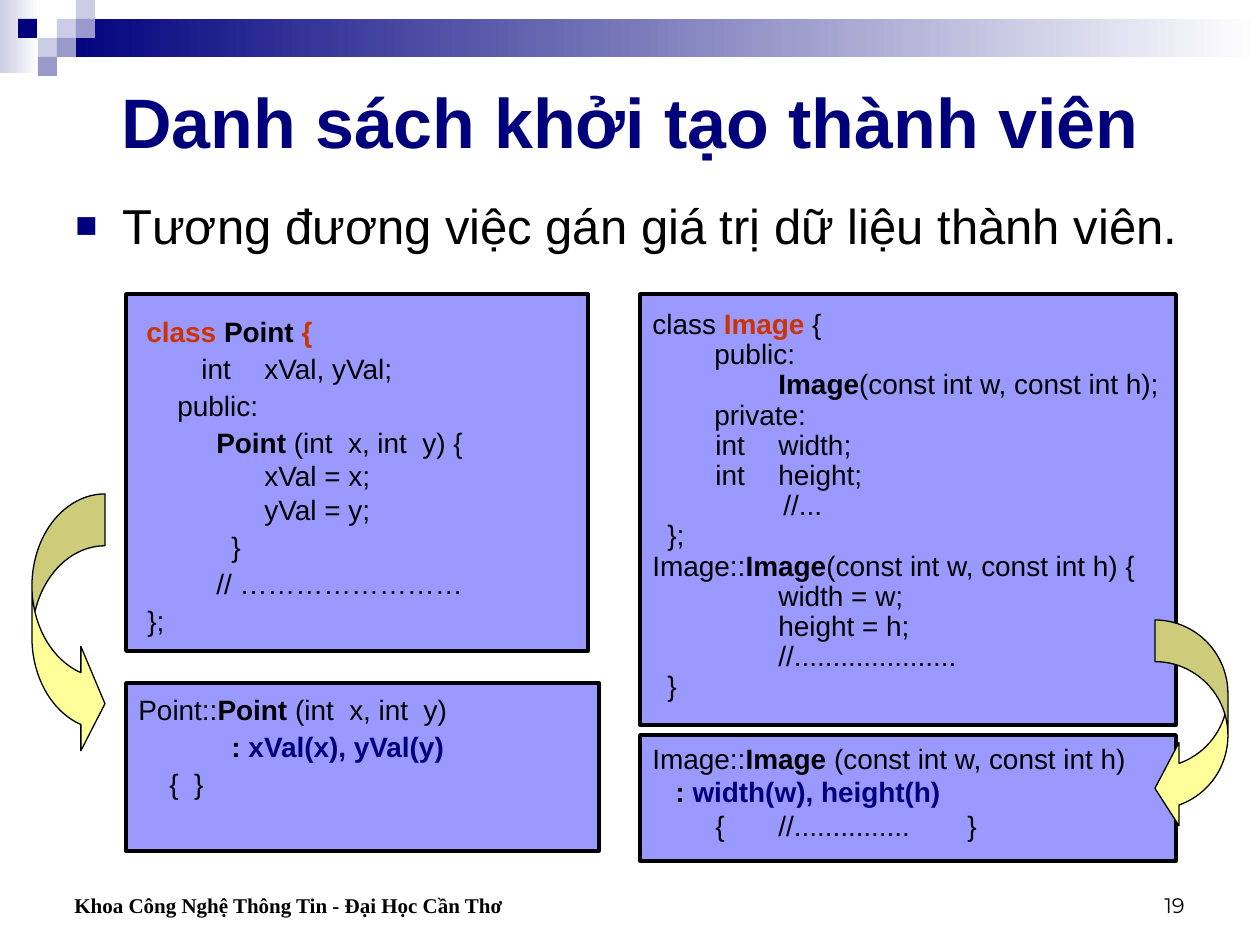
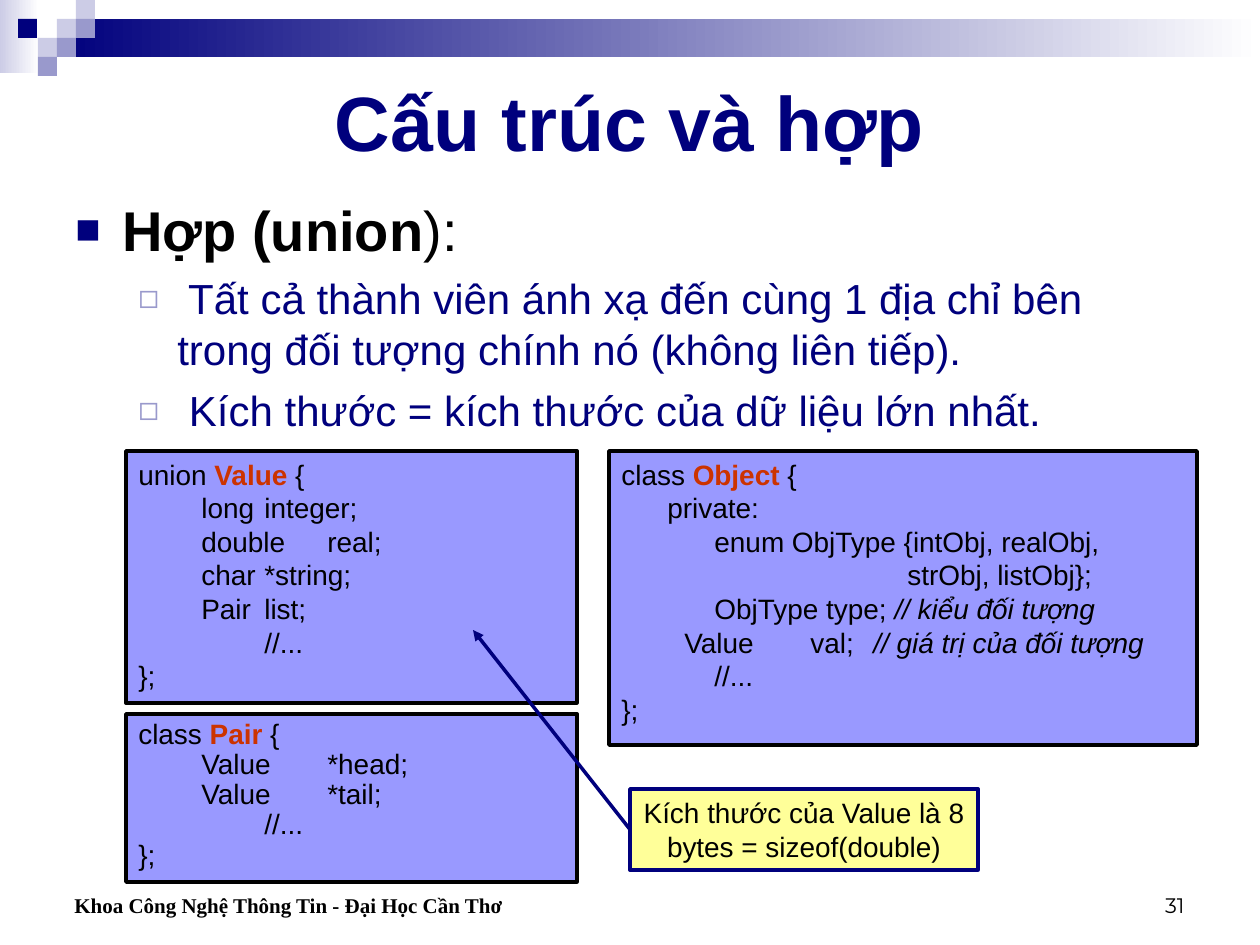
from lxml import etree
from pptx import Presentation
from pptx.dml.color import RGBColor
from pptx.enum.dml import MSO_LINE
from pptx.enum.shapes import MSO_CONNECTOR, MSO_SHAPE
from pptx.enum.text import MSO_ANCHOR, PP_ALIGN
from pptx.oxml.ns import qn
from pptx.util import Pt

PX = 914400 / 126  # EMU in one px
NAVY = RGBColor(0x00, 0x00, 0x7D)
MID = RGBColor(0x99, 0x99, 0xCC)
PALE = RGBColor(0xCC, 0xCC, 0xE6)
PANEL = RGBColor(0x99, 0x99, 0xFF)
YELLOW = RGBColor(0xFF, 0xFF, 0x99)
RED = RGBColor(0xCC, 0x33, 0x00)
BLACK = RGBColor(0, 0, 0)
WHITE = RGBColor(255, 255, 255)

BOLD = dict(bold=True)
KEY = dict(bold=True, color=RED)
COMMENT = dict(italic=True)
INIT = dict(bold=True, color=NAVY, accent=dict(color=BLACK))


def add_text(tf, text, size=16, font="Arial", color=BLACK, bold=False, italic=False,
             accent=BOLD, align=PP_ALIGN.LEFT, spacing=None, before=0,
             indent=0, hanging=0, tabs=(), bullet=None):
    """Add a paragraph; the parts between | marks take the accent format."""
    p = tf.paragraphs[0] if not tf.text else tf.add_paragraph()
    p.alignment = align
    p.space_before = Pt(before)
    if spacing:
        p.line_spacing = spacing
    pPr = p._p.get_or_add_pPr()
    pPr.set("marL", str(round(indent * PX)))
    pPr.set("indent", str(round(-hanging * PX)))
    if bullet:
        char, bullet_color, percent = bullet
        clr = etree.SubElement(pPr, qn("a:buClr"))
        etree.SubElement(clr, qn("a:srgbClr"), val=str(bullet_color))
        etree.SubElement(pPr, qn("a:buSzPct"), val=str(percent * 1000))
        etree.SubElement(pPr, qn("a:buFont"), typeface="Arial")
        etree.SubElement(pPr, qn("a:buChar"), char=char)
    if tabs:
        lst = etree.SubElement(pPr, qn("a:tabLst"))
        for stop in tabs:
            etree.SubElement(lst, qn("a:tab"), pos=str(round(stop * PX)), algn="l")
    base = dict(color=color, bold=bold, italic=italic)
    for i, part in enumerate(text.split("|")):
        if part:
            style = {**base, **accent} if i % 2 else base
            r = p.add_run()
            r.text = part
            r.font.name, r.font.size = font, Pt(size)
            r.font.bold, r.font.italic = style["bold"], style["italic"]
            r.font.color.rgb = style["color"]


def add_box(s, x, y, w, h, fill=None, line=None, kind=MSO_SHAPE.RECTANGLE,
            width=2, anchor=MSO_ANCHOR.TOP):
    """Add a text box, or a preset shape when a fill is given."""
    at = [round(v * PX) for v in (x, y, w, h)]
    if fill is None:
        sp = s.shapes.add_textbox(*at)
    else:
        sp = s.shapes.add_shape(kind, *at)
        sp.shadow.inherit = False
        sp.fill.solid()
        sp.fill.fore_color.rgb = fill
        if line is None:
            sp.line.fill.background()
        else:
            sp.line.color.rgb = line
            sp.line.width = Pt(width)
    sp.text_frame.word_wrap = True
    sp.text_frame.vertical_anchor = anchor
    return sp


prs = Presentation()
prs.slide_width, prs.slide_height = round(1260 * PX), round(945 * PX)

SQUARES = [(57, 19, PALE), (76, 0, PALE), (76, 19, MID), (38, 38, PALE),
           (18, 19, NAVY), (57, 38, MID), (38, 57, MID)]
GRADIENTS = [(0, 0, 39, 73, PALE), (57, 19, 1203, 38, NAVY)]
SQUARE_BULLET = ("■", NAVY, 75)
HOLLOW_BULLET = ("◻", MID, 80)

# Each slide: title, title size, page number, body paragraphs
PAGES = [
    ("Danh sách khởi tạo thành viên", 40, "19", [
        ("Tương đương việc gán giá trị dữ liệu thành viên.",
         dict(size=28, before=7, indent=47, hanging=47, bullet=SQUARE_BULLET))]),
    ("Cấu trúc và hợp", 44, "31", [
        ("|Hợp (union|):",
         dict(size=32, before=8, indent=47, hanging=47, bullet=SQUARE_BULLET)),
        *[(text, dict(size=24, color=NAVY, before=6, indent=102, hanging=39,
                      bullet=HOLLOW_BULLET))
          for text in (" Tất cả thành viên ánh xạ đến cùng 1 địa chỉ bên trong "
                       "đối tượng chính nó (không liên tiếp).",
                       " Kích thước = kích thước của dữ liệu lớn nhất.")]]),
]

# Code panels: left, top, width, height, line spacing, lines
POINT_CLASS = (126, 294, 462, 357, 1.1, [
    ("class |Point| {", dict(**KEY, accent=dict(color=BLACK), indent=8)),
    ("\tint\txVal, yVal;", dict(tabs=(78, 138))),
    ("public:", dict(indent=39)),
    ("|Point| (int  x, int  y) {", dict(indent=78)),
    ("xVal = x;", dict(indent=126, spacing=1.0)),
    ("yVal = y;", dict(indent=126, spacing=1.0)),
    ("}", dict(indent=93)),
    ("// ……………………", dict(indent=78)),
    ("};", dict(indent=9, spacing=1.0, before=2)),
])
POINT_INIT = (126, 683, 473, 168, 1.1, [
    ("Point::|Point| (int  x, int  y)", {}),
    ("|: |xVal(x), yVal(y)", dict(**INIT, indent=93)),
    ("{  }", dict(indent=31)),
])
IMAGE_CLASS = (640, 294, 536, 431, 0.9, [
    ("class |Image| {", dict(accent=KEY, spacing=1.2)),
    ("public:", dict(indent=62)),
    ("|Image|(const int w, const int h);", dict(indent=126)),
    ("private:", dict(indent=62)),
    ("\tint\twidth;", dict(tabs=(126, 179))),
    ("\tint\theight;", dict(tabs=(126, 179))),
    ("//...", dict(indent=131)),
    ("};", dict(indent=15)),
    ("Image::|Image|(const int w, const int h) {", {}),
    ("width = w;", dict(indent=126)),
    ("height = h;", dict(indent=126)),
    ("//.....................", dict(indent=126)),
    ("}", dict(indent=15)),
])
IMAGE_INIT = (640, 735, 536, 126, 1.0, [
    ("Image::|Image| (const int w, const int h)", {}),
    ("|: |width(w), height(h)", dict(**INIT, indent=23)),
    ("\t{\t//...............\t}", dict(tabs=(15, 47, 202))),
])
VALUE_UNION = (126, 451, 451, 252, 1.0, [
    ("union |Value| {", dict(accent=KEY)),
    *[(f"\t{kind}\t{field};", dict(tabs=(126, 226)))
      for kind, field in (("long", "integer"), ("double", "real"),
                          ("char", "*string"), ("Pair", "list"))],
    ("//...", dict(indent=126)),
    ("};", {}),
])
PAIR_CLASS = (126, 714, 451, 168, 0.9, [
    ("class |Pair| {", dict(accent=KEY)),
    *[(f"\tValue\t*{field};", dict(tabs=(126, 252))) for field in ("head", "tail")],
    ("//...", dict(indent=126)),
    ("};", {}),
])
OBJECT_CLASS = (609, 451, 588, 294, 1.0, [
    ("class |Object| {", dict(accent=KEY)),
    ("private:", dict(indent=46)),
    ("enum ObjType {intObj, realObj,", dict(indent=93)),
    ("strObj, listObj};", dict(indent=286)),
    ("ObjType type; |// kiểu đối tượng", dict(accent=COMMENT, indent=93)),
    ("\tValue\tval;\t|// giá trị của đối tượng", dict(accent=COMMENT, tabs=(93, 201, 267))),
    ("//...", dict(indent=93)),
    ("};", {}),
])
PANELS = [[POINT_CLASS, POINT_INIT, IMAGE_CLASS, IMAGE_INIT],
          [VALUE_UNION, PAIR_CLASS, OBJECT_CLASS]]

for (title, title_size, number, body), panels in zip(PAGES, PANELS):
    s = prs.slides.add_slide(prs.slide_layouts[6])

    # Top band and squares
    for x, y, w, h, color in GRADIENTS:
        sp = add_box(s, x, y, w, h, fill=color)
        sp.fill.gradient()
        sp.fill.gradient_angle = 0
        for stop, stop_color in zip(sp.fill.gradient_stops, (color, WHITE)):
            stop.color.rgb = stop_color
    for x, y, color in SQUARES:
        add_box(s, x, y, 19, 19, fill=color)

    # Title and body
    sp = add_box(s, 63, 63, 1134, 116, anchor=MSO_ANCHOR.MIDDLE)
    add_text(sp.text_frame, title, size=title_size, color=NAVY, bold=True,
             align=PP_ALIGN.CENTER)
    sp = add_box(s, 63, 189, 1134, 84 * len(body))
    for text, fmt in body:
        add_text(sp.text_frame, text, **fmt)

    # Code panels
    for x, y, w, h, spacing, lines in panels:
        sp = add_box(s, x, y, w, h, fill=PANEL, line=BLACK)
        if lines is POINT_CLASS[-1]:
            sp.text_frame.margin_top = round(17 * PX)
        for text, fmt in lines:
            add_text(sp.text_frame, text, **{"spacing": spacing, **fmt})

    # Footer and page number
    sp = add_box(s, 32, 861, 609, 63, anchor=MSO_ANCHOR.BOTTOM)
    add_text(sp.text_frame, "Khoa Công Nghệ Thông Tin - Đại Học Cần Thơ", size=12,
             font="Times New Roman", bold=True, indent=30)
    sp = add_box(s, 903, 861, 294, 63, anchor=MSO_ANCHOR.BOTTOM)
    add_text(sp.text_frame, number, size=12, font="Montserrat", align=PP_ALIGN.RIGHT)

# Slide 1: curved arrows from each class to its initializer list
for kind, x, y, h, shaft, head in [
        (MSO_SHAPE.CURVED_RIGHT_ARROW, 32, 494, 262, 0.71, 1.43),
        (MSO_SHAPE.CURVED_LEFT_ARROW, 1155, 620, 210, 0.57, 1.14)]:
    sp = add_box(prs.slides[0], x, y, 73, h, fill=YELLOW, line=BLACK, kind=kind, width=0.75)
    for i, value in enumerate((shaft, head, 0.33)):
        sp.adjustments[i] = value

# Slide 2: size note with an arrow to the union
s = prs.slides[1]
note = add_box(s, 630, 789, 348, 81, fill=YELLOW, line=NAVY, anchor=MSO_ANCHOR.MIDDLE)
add_text(note.text_frame, "Kích thước của Value là 8 bytes = sizeof(double)",
         align=PP_ALIGN.CENTER)
arrow = s.shapes.add_connector(MSO_CONNECTOR.STRAIGHT,
                               *[round(v * PX) for v in (630, 829, 473, 630)])
arrow.begin_connect(note, 1)
arrow.line.color.rgb = NAVY
arrow.line.width = Pt(2)
arrow.line.dash_style = MSO_LINE.SOLID
etree.SubElement(arrow.line._get_or_add_ln(), qn("a:tailEnd"), type="triangle")
etree.SubElement(arrow._element.spPr, qn("a:effectLst"))

prs.save("out.pptx")
